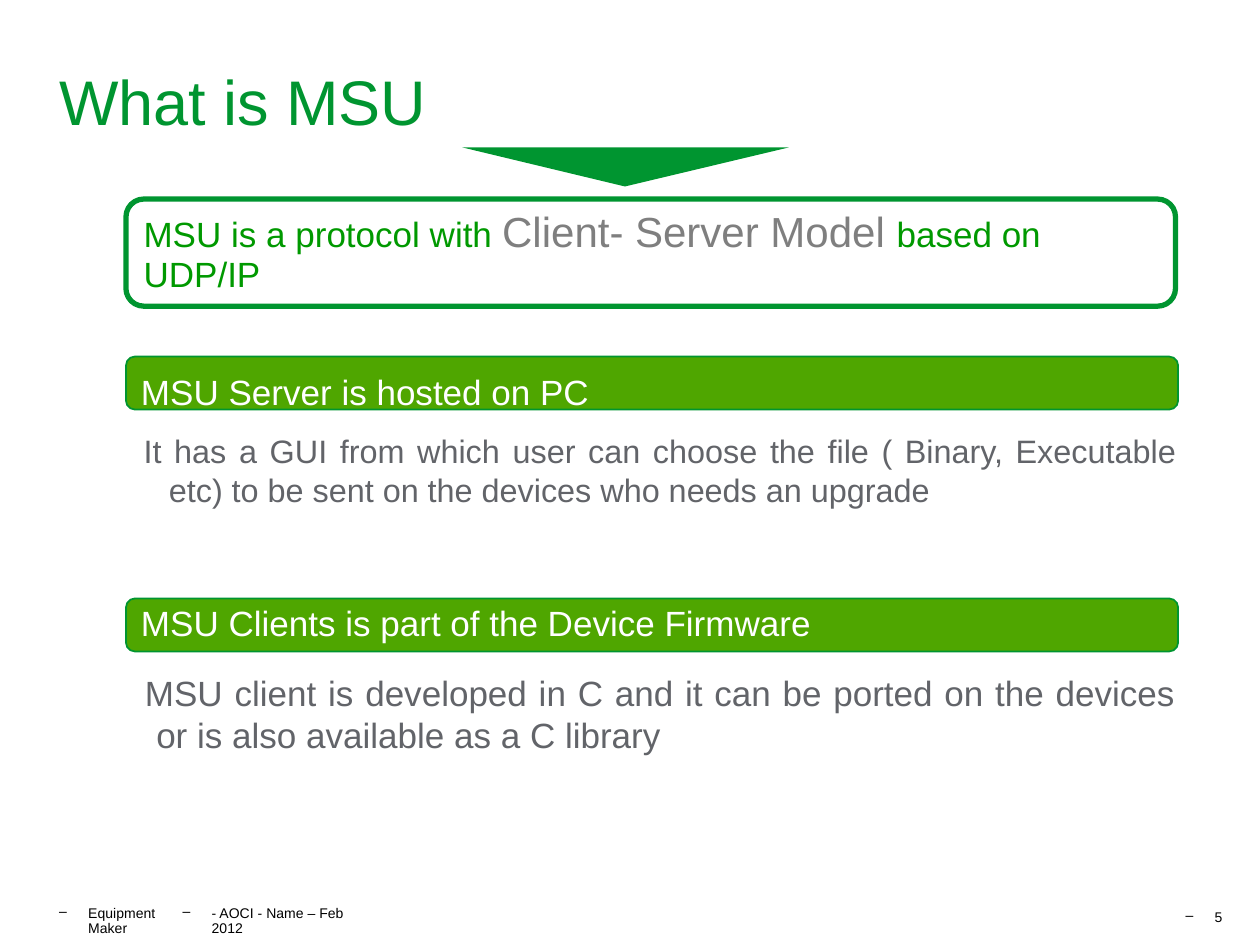
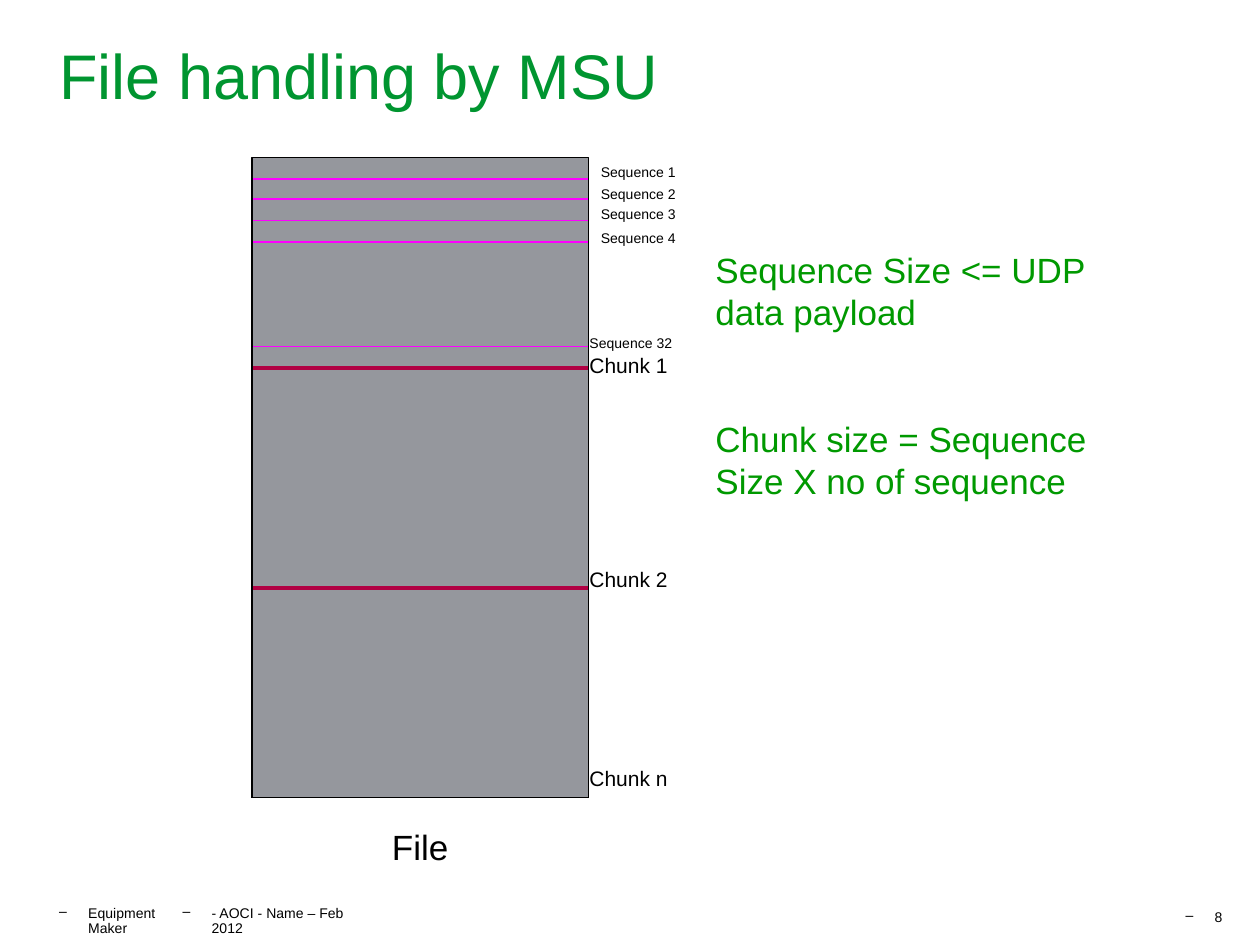
from lxml import etree
from pptx import Presentation
from pptx import util as u
from pptx.dml.color import RGBColor
from pptx.enum import shapes, text
from pptx.oxml import ns

COLORS = {
    "title": "009530",
    "accent": "009900",
    "bar": "4FA600",
    "body": "626469",
    "muted": "7F7F7F",
    "file": "95979D",
    "sequence": "FF00FF",
    "chunk": "B10043",
    "black": "000000",
    "white": "FFFFFF",
}
FONT = "Arial"
PADDED = (0.1, 0.05, 0.1, 0.05)
FLUSH = (0, 0, 0, 0)
TOP = text.MSO_ANCHOR.TOP
MIDDLE = text.MSO_ANCHOR.MIDDLE
LEFT = text.PP_ALIGN.LEFT


def rgb(name):
    return RGBColor.from_string(COLORS[name])


class Deck:
    def __init__(self):
        self.prs = Presentation()
        self.prs.slide_width = u.Inches(10)
        self.prs.slide_height = u.Inches(7.5)
        self.s = None

    def slide(self, title, number, top, height):
        self.s = self.prs.slides.add_slide(self.prs.slide_layouts[6])
        self.footer("Equipment Maker", 0.47, 7.19, 0.99)
        self.footer("- AOCI - Name – Feb 2012", 1.45, 7.19, 1.41)
        self.footer(str(number), 9.41, 7.22, 0.32)
        self.text((0.47, top, 9.05, height), [(title, 36, "title")],
                  insets=(0, 0.01, 0, 0.01), anchor=MIDDLE)

    def frame(self, sp, insets, anchor):
        tf = sp.text_frame
        tf.word_wrap = True
        tf.auto_size = text.MSO_AUTO_SIZE.NONE
        tf.vertical_anchor = anchor
        tf.margin_left, tf.margin_top, tf.margin_right, tf.margin_bottom = map(u.Inches, insets)
        return tf

    def runs(self, p, runs, align=LEFT, spacing=None):
        p.alignment = align
        if spacing:
            p.line_spacing = spacing
        for words, size, color in runs:
            r = p.add_run()
            r.text = words
            r.font.name = FONT
            r.font.size = u.Pt(size)
            r.font.color.rgb = rgb(color)

    def indent(self, p, left, first):
        pPr = p._p.get_or_add_pPr()
        pPr.set("marL", str(u.Inches(left)))
        pPr.set("indent", str(u.Inches(first)))
        return pPr

    def text(self, box, runs, insets=PADDED, anchor=TOP, align=LEFT, spacing=None):
        sp = self.s.shapes.add_textbox(*map(u.Inches, box))
        tf = self.frame(sp, insets, anchor)
        self.runs(tf.paragraphs[0], runs, align, spacing)
        return tf

    def footer(self, words, left, top, width):
        tf = self.text((left, top, width, 0.12), [(words, 8, "black")], FLUSH, spacing=0.93)
        pPr = self.indent(tf.paragraphs[0], 0.23, -0.23)
        etree.SubElement(pPr, ns.qn("a:buChar")).set("char", "–")

    def body(self, words, top, size, left, first):
        tf = self.text((0.75, top, 8.58, 0.8), [(words, size, "body")], FLUSH,
                       align=text.PP_ALIGN.JUSTIFY)
        self.indent(tf.paragraphs[0], left, first)

    def style(self, sp, fill, line, width):
        sp.shadow.inherit = False
        if fill:
            sp.fill.solid()
            sp.fill.fore_color.rgb = rgb(fill)
        else:
            sp.fill.background()
        if line:
            sp.line.color.rgb = rgb(line)
            sp.line.width = u.Pt(width)
        else:
            sp.line.fill.background()

    def shape(self, kind, box, fill, line, width, runs=(), insets=PADDED, anchor=MIDDLE):
        sp = self.s.shapes.add_shape(kind, *map(u.Inches, box))
        self.style(sp, fill, line, width)
        tf = self.frame(sp, insets, anchor)
        self.runs(tf.paragraphs[0], runs, spacing=0.93)
        return sp

    def bar(self, words, top, insets=PADDED, anchor=MIDDLE):
        self.shape(shapes.MSO_SHAPE.FLOWCHART_ALTERNATE_PROCESS, (1, top, 8.35, 0.42),
                   "bar", "title", 1, [(words, 20, "white")], insets, anchor)

    def polygon(self, points, fill):
        start, *rest = [(u.Inches(x), u.Inches(y)) for x, y in points]
        fb = self.s.shapes.build_freeform(*start)
        fb.add_line_segments(rest, close=True)
        self.style(fb.convert_to_shape(), fill, None, 0)

    def line(self, x1, y1, x2, y2, color, width):
        c = self.s.shapes.add_connector(shapes.MSO_CONNECTOR.STRAIGHT,
                                        *map(u.Inches, (x1, y1, x2, y2)))
        c.line.color.rgb = rgb(color)
        c.line.width = u.Pt(width)
        etree.SubElement(c._element.spPr, ns.qn("a:effectLst"))


def what_is_msu(deck):
    deck.slide("What is MSU", 5, 0.17, 1.26)
    deck.polygon([(3.67, 1.17), (6.26, 1.17), (4.96, 1.48)], "title")
    deck.shape(shapes.MSO_SHAPE.ROUNDED_RECTANGLE, (1, 1.58, 8.33, 0.85), None, "title", 3, [
        ("MSU is a protocol with ", 20, "accent"),
        ("Client- Server Model ", 24, "muted"),
        ("based on UDP/IP", 20, "accent"),
    ])
    deck.bar("MSU Server is hosted on PC", 2.83, (0.1, 0.12, 0.1, 0), TOP)
    deck.body("It has a GUI from which user can choose the file ( Binary, Executable etc) "
              "to be sent on the devices who needs an upgrade", 3.42, 18.5, 0.59, -0.2)
    deck.bar("MSU Clients is part of the Device Firmware", 4.75)
    deck.body("MSU client is developed in C and it can be ported on the devices "
              "or is also available as a C library", 5.33, 20, 0.49, -0.09)


def file_handling(deck):
    left, right, top, bottom = 2, 4.67, 1.25, 6.33
    deck.slide("File handling by MSU", 8, 0.09, 1)
    deck.shape(shapes.MSO_SHAPE.RECTANGLE, (left, top, right - left, bottom - top),
               "file", "black", 0.75)
    for y in (1.42, 1.58, 1.75, 1.92, 2.75):
        deck.line(left, y, right, y, "sequence", 1)
    for y in (2.92, 4.67):
        deck.line(left, y, right, y, "chunk", 2.25)
    for y in (top, bottom):
        deck.line(left, y, right, y, "black", 0.75)
    for x in (left, right):
        deck.line(x, top, x, bottom, "black", 0.75)

    for i, y in enumerate((1.25, 1.42, 1.58, 1.77), 1):
        deck.text((right, y, 0.83, 0.24), [(f"Sequence {i}", 8, "black")])
    deck.text((4.58, 2.61, 0.92, 0.24), [("Sequence 32", 8, "black")])
    for name, y, width in (("1", 2.75, 0.92), ("2", 4.45, 1.58), ("n", 6.03, 1.58)):
        deck.text((4.58, y, width, 0.3), [(f"Chunk {name}", 12, "black")])
    deck.text((left, 6.5, right - left, 0.44), [("File", 20, "black")],
              align=text.PP_ALIGN.CENTER)

    tf = deck.text((5.58, 1.92, 3.5, 2.12), [("Sequence Size <= UDP data payload", 20, "accent")])
    p = tf.add_paragraph()
    p.space_before = u.Pt(49)
    deck.runs(p, [("Chunk size = Sequence Size X no of sequence", 20, "accent")])


def main():
    deck = Deck()
    what_is_msu(deck)
    file_handling(deck)
    deck.prs.save("out.pptx")


if __name__ == "__main__":
    main()
